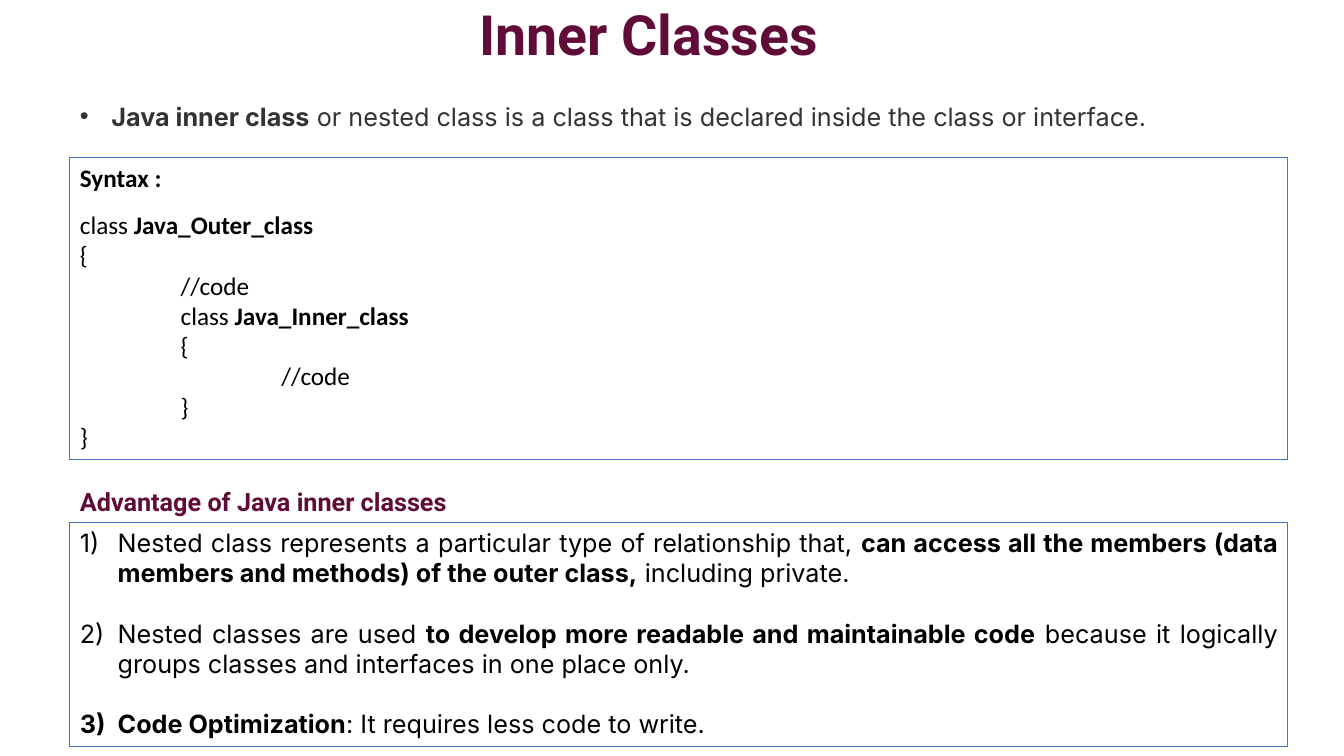
from lxml import etree
from pptx import Presentation
from pptx import util as u
from pptx.dml.color import RGBColor
from pptx.enum import shapes, text
from pptx.oxml.ns import qn

COLORS = {"plum": "610B38", "gray": "333333", "black": "000000", "border": "4472C4"}
ALIGN = text.PP_ALIGN

prs = Presentation()
prs.slide_width, prs.slide_height = u.Inches(13.33), u.Inches(7.5)
COL, ROW = prs.slide_width / 192, prs.slide_height / 108
CONTENT_LEFT, CONTENT_WIDTH = 10, 174

SYNTAX = [
    (0, [("Syntax :", True)]),
    (0, [("class ", False), ("Java_Outer_class", True)]),
    (0, [("{", False)]),
    (1, [("//code", False)]),
    (1, [("class ", False), ("Java_Inner_class", True)]),
    (1, [("{", False)]),
    (2, [("//code", False)]),
    (1, [("}", False)]),
    (0, [("}", False)]),
]
DEFINITION = [
    ("Java inner class", True),
    (" or nested class is a class that is declared inside the class or interface.", False),
]
ADVANTAGES = [
    [("Nested class represents a particular type of relationship that, ", False),
     ("can access all the members (data members and methods) of the outer class,", True),
     (" including private.", False)],
    [("Nested classes are used ", False),
     ("to develop more readable and maintainable code", True),
     (" because it logically groups classes and interfaces in one place only.", False)],
    [("Code Optimization", True), (": It requires less code to write.", False)],
]


def grid_box(left, top, width, height):
    return [round(n) for n in (left * COL, top * ROW, width * COL, height * ROW)]


def add_text_frame(slide, box, bordered=False):
    if bordered:
        sp = slide.shapes.add_shape(shapes.MSO_SHAPE.RECTANGLE, *box)
        sp.shadow.inherit = False
        sp.fill.background()
        sp.line.color.rgb = RGBColor.from_string(COLORS["border"])
        sp.line.width = u.Pt(0.75)
    else:
        sp = slide.shapes.add_textbox(*box)
    tf = sp.text_frame
    tf.word_wrap = True
    tf.vertical_anchor = text.MSO_ANCHOR.TOP
    return tf


def add_paragraph(tf, runs, font, color, size=18, align=ALIGN.JUSTIFY):
    p = tf.paragraphs[0] if not tf.paragraphs[0].runs else tf.add_paragraph()
    p.alignment = align
    for content, bold in runs:
        r = p.add_run()
        r.text = content
        r.font.name, r.font.size, r.font.bold = font, u.Pt(size), bold
        r.font.color.rgb = RGBColor.from_string(COLORS[color])
    return p


def indent(p, margin, hanging=0):
    pPr = p._p.get_or_add_pPr()
    pPr.set("marL", str(round(margin * COL)))
    pPr.set("indent", str(round(-hanging * COL)))
    return pPr


def add_title(slide, box):
    tf = add_text_frame(slide, box)
    tf.vertical_anchor = text.MSO_ANCHOR.MIDDLE
    p = add_paragraph(tf, [("Inner Classes", True)], "Roboto", "plum", 39.6, ALIGN.CENTER)
    p.line_spacing = 0.9


def add_definition(slide, box):
    p = add_paragraph(add_text_frame(slide, box), DEFINITION, "Inter", "gray")
    pPr = indent(p, 4.5, 4.5)
    etree.SubElement(pPr, qn("a:buFont"), typeface="Arial")
    etree.SubElement(pPr, qn("a:buChar"), char="•")


def add_syntax(slide, box):
    tf = add_text_frame(slide, box, bordered=True)
    for level, runs in SYNTAX:
        p = add_paragraph(tf, runs, "Calibri", "black", align=ALIGN.LEFT)
        indent(p, level * 14.4)
    tf.paragraphs[0].space_after = u.Pt(12)


def add_heading(slide, box):
    tf = add_text_frame(slide, box)
    add_paragraph(tf, [("Advantage of Java inner classes", True)], "Roboto", "plum")


def add_advantages(slide, box):
    tf = add_text_frame(slide, box, bordered=True)
    for runs in ADVANTAGES:
        p = add_paragraph(tf, runs, "Inter", "black")
        pPr = indent(p, 5.4, 5.4)
        if runs is not ADVANTAGES[-1]:
            p.space_after = u.Pt(21.6)
        etree.SubElement(pPr, qn("a:buFont"), typeface="+mj-lt")
        etree.SubElement(pPr, qn("a:buAutoNum"), type="arabicParenR")


def main():
    slide = prs.slides.add_slide(prs.slide_layouts[6])
    add_title(slide, grid_box(6.5, 0, 172.4, 10.7))
    add_definition(slide, grid_box(CONTENT_LEFT, 13.7, CONTENT_WIDTH, 5.8))
    add_syntax(slide, grid_box(CONTENT_LEFT, 22.5, CONTENT_WIDTH, 43.2))
    add_heading(slide, grid_box(CONTENT_LEFT, 68.7, 96, 5.8))
    add_advantages(slide, grid_box(CONTENT_LEFT, 74.6, CONTENT_WIDTH, 32))
    prs.save("out.pptx")


if __name__ == "__main__":
    main()
